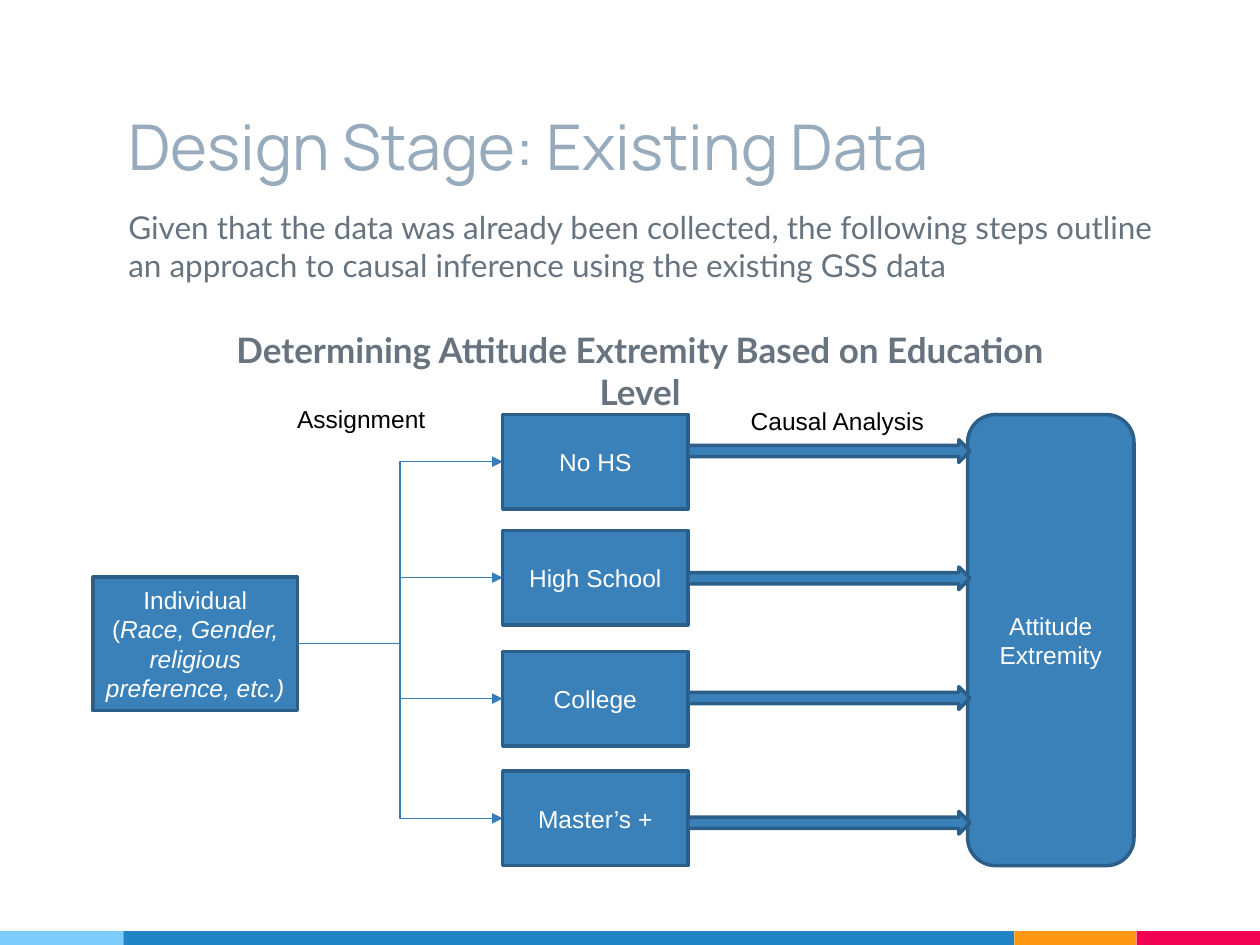
"""Build a slide on causal inference from existing survey data, with a flow diagram."""
from lxml import etree
from pptx import Presentation, util as u
from pptx.dml.color import RGBColor
from pptx.enum import shapes, text
from pptx.oxml.ns import qn

WIDTH, HEIGHT = 10, 7.5
WHITE = RGBColor(0xFF, 0xFF, 0xFF)
BLACK = RGBColor(0, 0, 0)
TITLE_COLOR = RGBColor(0x97, 0xAB, 0xBC)
BODY_COLOR = RGBColor(0x67, 0x74, 0x80)
FILL = RGBColor(0x3A, 0x81, 0xBA)
EDGE = RGBColor(0x2B, 0x5F, 0x8A)
LINK = RGBColor(0x36, 0x7E, 0xB9)

FOOTER = [
    (0.98, RGBColor(0x7E, 0xCE, 0xFD)),
    (7.07, RGBColor(0x21, 0x85, 0xC5)),
    (0.97, RGBColor(0xFF, 0x97, 0x15)),
    (0.98, RGBColor(0xF2, 0x02, 0x53)),
]
FOOTER_HEIGHT = 0.11

HEADINGS = [
    ("Design Stage: Existing Data", (0.92, 0.3, 7.07, 1.25),
     ("Manrope", 36, TITLE_COLOR, False), text.MSO_ANCHOR.BOTTOM, text.PP_ALIGN.LEFT),
    ("Given that the data was already been collected, the following steps outline "
     "an approach to causal inference using the existing GSS data", (0.92, 1.55, 8.52, 0.9),
     ("Lato", 18, BODY_COLOR, False), text.MSO_ANCHOR.TOP, text.PP_ALIGN.LEFT),
    ("Determining Attitude Extremity Based on Education Level", (1.46, 2.51, 7.24, 0.47),
     ("Lato", 20, BODY_COLOR, True), text.MSO_ANCHOR.TOP, text.PP_ALIGN.CENTER),
]
LABELS = [
    ("Assignment", (2.26, 3.16, 1.23, 0.34)),
    ("Causal Analysis", (5.86, 3.17, 1.6, 0.34)),
]

INDIVIDUAL = [
    [("Individual", False)],
    [("(", False), ("Race, Gender, religious preference, etc.)", True)],
]
INDIVIDUAL_AREA = (0.74, 4.58, 1.62, 1.06)
LEVELS = [("No HS", 3.29, 3.49), ("High School", 4.21, 4.5),
          ("College", 5.17, 5.45), ("Master’s +", 6.12, 6.44)]
LEVEL_LEFT, LEVEL_WIDTH, LEVEL_HEIGHT = 3.99, 1.47, 0.75
ARROW_WIDTH, ARROW_HEIGHT = 2.24, 0.18
OUTCOME = [[("Attitude Extremity", False)]]
OUTCOME_AREA = (7.68, 3.29, 1.32, 3.58)


def inches(area):
    return [u.Inches(value) for value in area]


def add_span(para, words, font, italic=False):
    name, size, color, bold = font
    span = para.add_run()
    span.text = words
    span.font.name, span.font.size = name, u.Pt(size)
    span.font.color.rgb = color
    span.font.bold, span.font.italic = bold, italic


def add_text(page, words, area, font, anchor=text.MSO_ANCHOR.TOP,
             align=text.PP_ALIGN.LEFT, wrap=True, inset=0.1):
    frame = page.shapes.add_textbox(*inches(area)).text_frame
    frame.word_wrap = wrap
    frame.vertical_anchor = anchor
    frame.margin_top = frame.margin_bottom = u.Inches(inset)
    frame.paragraphs[0].alignment = align
    add_span(frame.paragraphs[0], words, font)


def add_block(page, kind, area, fill, edge=None):
    block = page.shapes.add_shape(kind, *inches(area))
    block.shadow.inherit = False
    block.fill.solid()
    block.fill.fore_color.rgb = fill
    if edge is None:
        block.line.fill.background()
    else:
        block.line.color.rgb = edge
        block.line.width = u.Pt(2)
    return block


def add_node(page, kind, area, lines):
    node = add_block(page, kind, area, FILL, EDGE)
    frame = node.text_frame
    frame.word_wrap = True
    frame.vertical_anchor = text.MSO_ANCHOR.MIDDLE
    for index, spans in enumerate(lines):
        para = frame.add_paragraph() if index else frame.paragraphs[0]
        para.alignment = text.PP_ALIGN.CENTER
        for words, italic in spans:
            add_span(para, words, ("Arial", 14, WHITE, False), italic)
    return node


def add_link(page, source, target):
    link = page.shapes.add_connector(shapes.MSO_CONNECTOR.ELBOW, 0, 0, 0, 0)
    link.begin_connect(source, 3)
    link.end_connect(target, 1)
    link.line.color.rgb = LINK
    link.line.width = u.Pt(0.75)
    etree.SubElement(link.line._get_or_add_ln(), qn("a:tailEnd"), type="triangle")
    etree.SubElement(link._element.spPr, qn("a:effectLst"))


def main():
    deck = Presentation()
    deck.slide_width, deck.slide_height = u.Inches(WIDTH), u.Inches(HEIGHT)
    page = deck.slides.add_slide(deck.slide_layouts[6])
    kinds = shapes.MSO_SHAPE

    left = 0
    for width, color in FOOTER:
        area = (left, HEIGHT - FOOTER_HEIGHT, width, FOOTER_HEIGHT)
        add_block(page, kinds.RECTANGLE, area, color)
        left += width

    for words, area, font, anchor, align in HEADINGS:
        add_text(page, words, area, font, anchor, align)

    individual = add_node(page, kinds.RECTANGLE, INDIVIDUAL_AREA, INDIVIDUAL)
    for name, top, _ in LEVELS:
        area = (LEVEL_LEFT, top, LEVEL_WIDTH, LEVEL_HEIGHT)
        level = add_node(page, kinds.RECTANGLE, area, [[(name, False)]])
        add_link(page, individual, level)

    add_node(page, kinds.ROUNDED_RECTANGLE, OUTCOME_AREA, OUTCOME)
    for _, _, top in LEVELS:
        area = (LEVEL_LEFT + LEVEL_WIDTH, top, ARROW_WIDTH, ARROW_HEIGHT)
        add_block(page, kinds.RIGHT_ARROW, area, FILL, EDGE)

    for words, area in LABELS:
        add_text(page, words, area, ("Arial", 14, BLACK, False), wrap=False, inset=0.05)

    deck.save("out.pptx")


if __name__ == "__main__":
    main()
